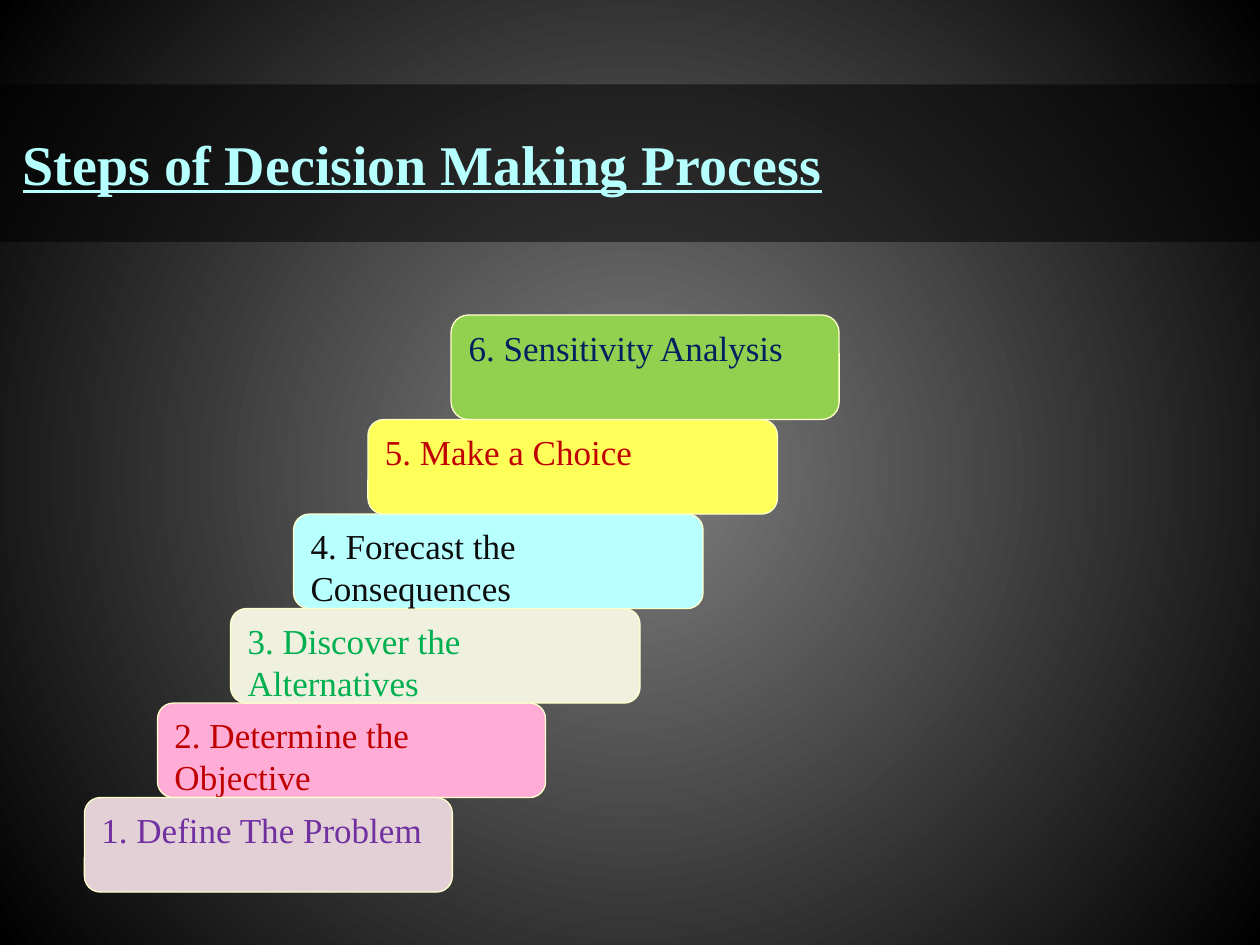
from lxml.etree import SubElement
from pptx import Presentation
from pptx.dml.color import RGBColor
from pptx.enum.shapes import MSO_SHAPE
from pptx.enum.text import MSO_ANCHOR, PP_ALIGN
from pptx.oxml import parse_xml
from pptx.oxml.ns import nsdecls, qn
from pptx.util import Inches, Pt

BLACK = RGBColor(0x00, 0x00, 0x00)
GRAY = RGBColor(0x7F, 0x7F, 0x7F)
CYAN = RGBColor(0xB5, 0xFF, 0xFF)
CREAM = RGBColor(0xFF, 0xFF, 0xCC)
PINK = RGBColor(0xFF, 0xAD, 0xD6)
IVORY = RGBColor(0xF0, 0xF0, 0xDF)
ICE = RGBColor(0xB8, 0xFF, 0xFF)
YELLOW = RGBColor(0xFF, 0xFF, 0x59)
LIME = RGBColor(0x92, 0xD0, 0x50)
MAUVE = RGBColor(0xE3, 0xD0, 0xD7)
RED = RGBColor(0xC0, 0x00, 0x00)
GREEN = RGBColor(0x00, 0xB0, 0x50)
INK = RGBColor(0x0D, 0x0D, 0x0D)
NAVY = RGBColor(0x00, 0x20, 0x60)
PURPLE = RGBColor(0x70, 0x30, 0xA0)

BAND_TOP, BAND_HEIGHT = 0.67, 1.25
STEP_HEIGHT = 0.75
STAIRS_BOTTOM = 7.08

# Number, text, left, width, height, fill, text colour; back to front
STEPS = [
    (2, "Determine the Objective", 1.25, 3.08, STEP_HEIGHT, PINK, RED),
    (3, "Discover the Alternatives", 1.83, 3.25, STEP_HEIGHT, IVORY, GREEN),
    (4, "Forecast the Consequences", 2.33, 3.25, STEP_HEIGHT, ICE, INK),
    (5, "Make a Choice", 2.92, 3.25, STEP_HEIGHT, YELLOW, RED),
    (6, "Sensitivity Analysis", 3.58, 3.08, 0.83, LIME, NAVY),
    (1, "Define The Problem", 0.67, 2.92, STEP_HEIGHT, MAUVE, PURPLE),
]


class SlideBuilder:
    font_name = "Times New Roman"

    def __init__(self, slide):
        self.slide = slide

    def background(self, center, edge):
        fill = self.slide.background.fill
        fill.gradient()
        for stop, position, color in zip(fill.gradient_stops, (0, 1), (center, edge)):
            stop.position = position
            stop.color.rgb = color
        # Turn the linear gradient into a radial one
        gradient = self.slide.background._cSld.find(".//" + qn("a:gradFill"))
        linear = gradient.find(qn("a:lin"))
        gradient.replace(linear, parse_xml(
            f'<a:path {nsdecls("a")} path="circle">'
            '<a:fillToRect l="50000" t="50000" r="50000" b="50000"/></a:path>'))

    def add_run(self, paragraph, text, size, color):
        paragraph.alignment = PP_ALIGN.LEFT
        run = paragraph.add_run()
        run.text = text
        run.font.name = self.font_name
        run.font.size = Pt(size)
        run.font.color.rgb = color
        return run

    def block(self, kind, left, top, width, height, color):
        shape = self.slide.shapes.add_shape(
            kind, Inches(left), Inches(top), Inches(width), Inches(height))
        shape.shadow.inherit = False
        shape.fill.solid()
        shape.fill.fore_color.rgb = color
        return shape

    def band(self, top, height, opacity):
        band = self.block(MSO_SHAPE.RECTANGLE, 0, top, 10, height, BLACK)
        band.line.fill.background()
        color = band.fill._xPr.find(".//" + qn("a:srgbClr"))
        SubElement(color, qn("a:alpha"), val=str(opacity * 1000))
        # Keep the band behind the title
        self.slide.shapes._spTree.insert(2, band._element)

    def title(self, text, left, top, width, height):
        title = self.slide.shapes.title
        title.left, title.top = Inches(left), Inches(top)
        title.width, title.height = Inches(width), Inches(height)
        title.text_frame.vertical_anchor = MSO_ANCHOR.MIDDLE
        run = self.add_run(title.text_frame.paragraphs[0], text, 32, CYAN)
        run.font.bold = True
        run.font.underline = True

    def step(self, text, left, top, width, height, color, text_color):
        step = self.block(MSO_SHAPE.ROUNDED_RECTANGLE, left, top, width, height, color)
        step.line.color.rgb = CREAM
        step.line.width = Pt(0.75)
        frame = step.text_frame
        frame.word_wrap = True
        frame.vertical_anchor = MSO_ANCHOR.TOP
        self.add_run(frame.paragraphs[0], text, 20, text_color)


def main():
    deck = Presentation()
    deck.slide_width, deck.slide_height = Inches(10), Inches(7.5)
    builder = SlideBuilder(deck.slides.add_slide(deck.slide_layouts[5]))

    # Backdrop and title
    builder.background(GRAY, BLACK)
    builder.band(BAND_TOP, BAND_HEIGHT, opacity=50)
    builder.title("Steps of Decision Making Process", 0.08, BAND_TOP, 8.5, BAND_HEIGHT)

    # Staircase, each step resting on the one below
    for number, label, left, width, height, color, text_color in STEPS:
        top = STAIRS_BOTTOM - (number - 1) * STEP_HEIGHT - height
        builder.step(f"{number}. {label}", left, top, width, height, color, text_color)

    deck.save("out.pptx")


if __name__ == "__main__":
    main()
